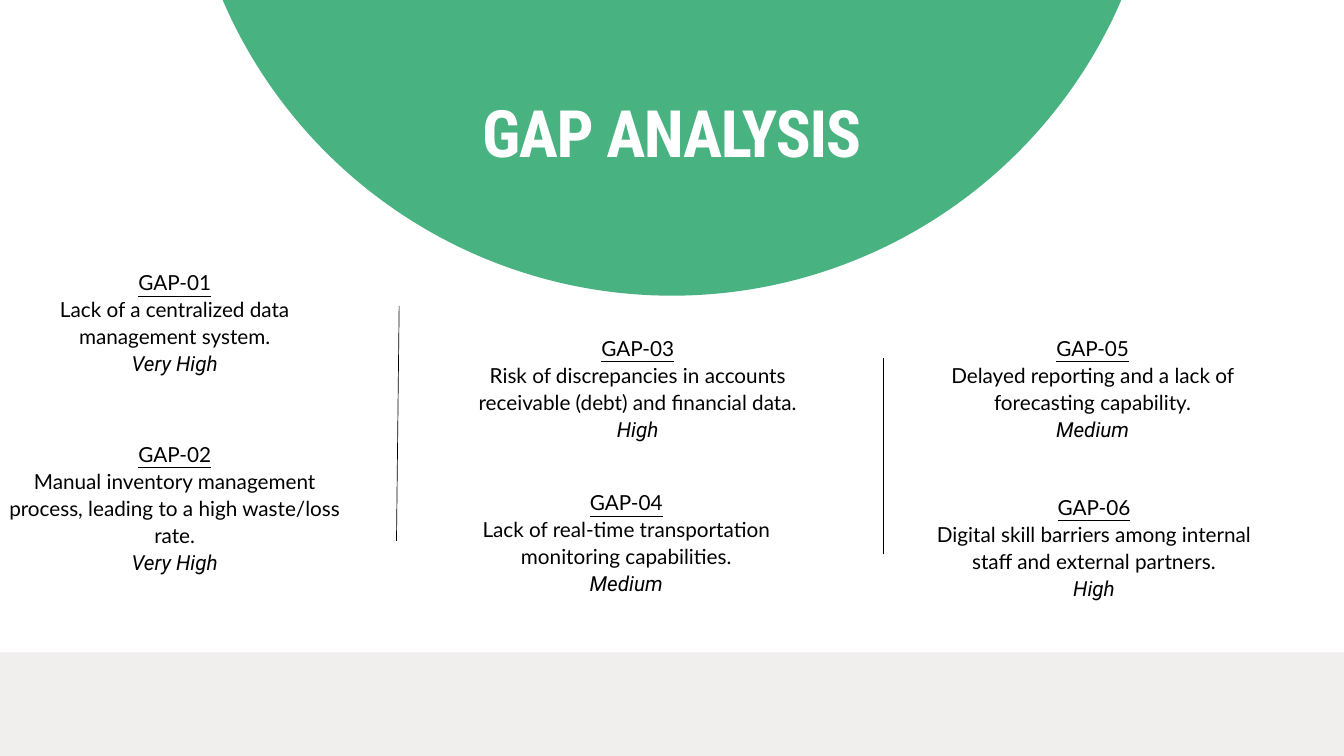
import pptx
import pptx.util
import pptx.dml.color
import pptx.enum.shapes
import pptx.enum.text
import pptx.oxml.ns
import lxml.etree

Inches = pptx.util.Inches
Pt = pptx.util.Pt
SHAPE = pptx.enum.shapes.MSO_SHAPE
COLORS = {"green": "48B281", "band": "F1EEEE", "ink": "000000", "white": "FFFFFF"}
WIDE, HIGH = 20, 11.25
GAPS = [
    (0, 3.99, 1.97, "GAP-01", "Lack of a centralized data management system.", "Very High"),
    (0, 6.54, 2.36, "GAP-02",
     "Manual inventory management process, leading to a high waste/loss rate.", "Very High"),
    (6.89, 4.96, 1.97, "GAP-03",
     "Risk of discrepancies in accounts receivable (debt) and financial data.", "High"),
    (6.72, 7.26, 1.97, "GAP-04",
     "Lack of real-time transportation monitoring capabilities.", "Medium"),
    (13.66, 4.96, 1.97, "GAP-05",
     "Delayed reporting and a lack of forecasting capability.", "Medium"),
    (13.68, 7.33, 1.97, "GAP-06",
     "Digital skill barriers among internal staff and external partners.", "High"),
]
RULES = [(5.9, 8.05, 5.94, 4.55), (13.14, 8.25, 13.14, 5.33)]


def color(name):
    """Return the named colour."""
    return pptx.dml.color.RGBColor.from_string(COLORS[name])


def block(slide, kind, box, fill):
    """Draw a plain filled shape in the box."""
    shape = slide.shapes.add_shape(kind, *map(Inches, box))
    shape.shadow.inherit = False
    shape.fill.solid()
    shape.fill.fore_color.rgb = color(fill)
    shape.line.fill.background()


def setup(frame, lines, step):
    """Fill a text frame with centred lines of fixed pitch and no margins."""
    frame.text = "\n".join(lines)
    frame.word_wrap = True
    frame.auto_size = pptx.enum.text.MSO_AUTO_SIZE.NONE
    frame.vertical_anchor = pptx.enum.text.MSO_ANCHOR.TOP
    frame.margin_left = frame.margin_right = frame.margin_top = frame.margin_bottom = 0
    for para in frame.paragraphs:
        para.alignment = pptx.enum.text.PP_ALIGN.CENTER
        para.line_spacing = Pt(step)
        para.space_before = Pt(0)


def style(para, face, size, tint):
    """Set the font of a paragraph's run and return the run."""
    run = para.runs[0]
    run.font.name = face
    run.font.size = Pt(size)
    run.font.color.rgb = color(tint)
    return run


def header(slide, box):
    """Draw the large disc and the slide title centred in the box."""
    left, top, width, height = box
    disc = 14.56
    block(slide, SHAPE.OVAL,
          (left + (width - disc) / 2, top + height - disc, disc, disc), "green")
    title = slide.shapes.title
    title.left, title.top = Inches(left + 5.89), Inches(top + 1.37)
    title.width, title.height = Inches(8.21), Inches(1.16)
    setup(title.text_frame, ["GAP ANALYSIS"], 84)
    run = style(title.text_frame.paragraphs[0], "Roboto Condensed", 70, "white")
    run.font.bold = True
    run.font._element.set("spc", "-140")
    title.element.getparent().append(title.element)


def rule(slide, ends):
    """Draw a thin divider between two points."""
    line = slide.shapes.add_connector(
        pptx.enum.shapes.MSO_CONNECTOR.STRAIGHT, *map(Inches, ends))
    line.line.color.rgb = color("ink")
    line.line.width = Pt(0.75)
    lxml.etree.SubElement(line.element.spPr, pptx.oxml.ns.qn("a:effectLst"))


def gap(slide, box, lines):
    """Write one gap: underlined code, finding and italic rating."""
    frame = slide.shapes.add_textbox(*map(Inches, box)).text_frame
    setup(frame, lines, 28.9)
    code, note, rate = frame.paragraphs
    style(code, "Lato", 22.2, "ink").font.underline = True
    style(note, "Lato", 22.2, "ink")
    style(rate, "Roboto", 22.2, "ink").font.italic = True


def main():
    """Build and save the slide."""
    deck = pptx.Presentation()
    deck.slide_width, deck.slide_height = Inches(WIDE), Inches(HIGH)
    slide = deck.slides.add_slide(deck.slide_layouts[5])
    slide.background.fill.solid()
    slide.background.fill.fore_color.rgb = color("white")
    header(slide, (0, 0, WIDE, 4.4))
    block(slide, SHAPE.RECTANGLE, (0, 9.71, WIDE, HIGH - 9.71), "band")
    for ends in RULES:
        rule(slide, ends)
    for left, top, height, *lines in GAPS:
        gap(slide, (left, top, 5.2, height), lines)
    deck.save("out.pptx")


if __name__ == "__main__":
    main()
